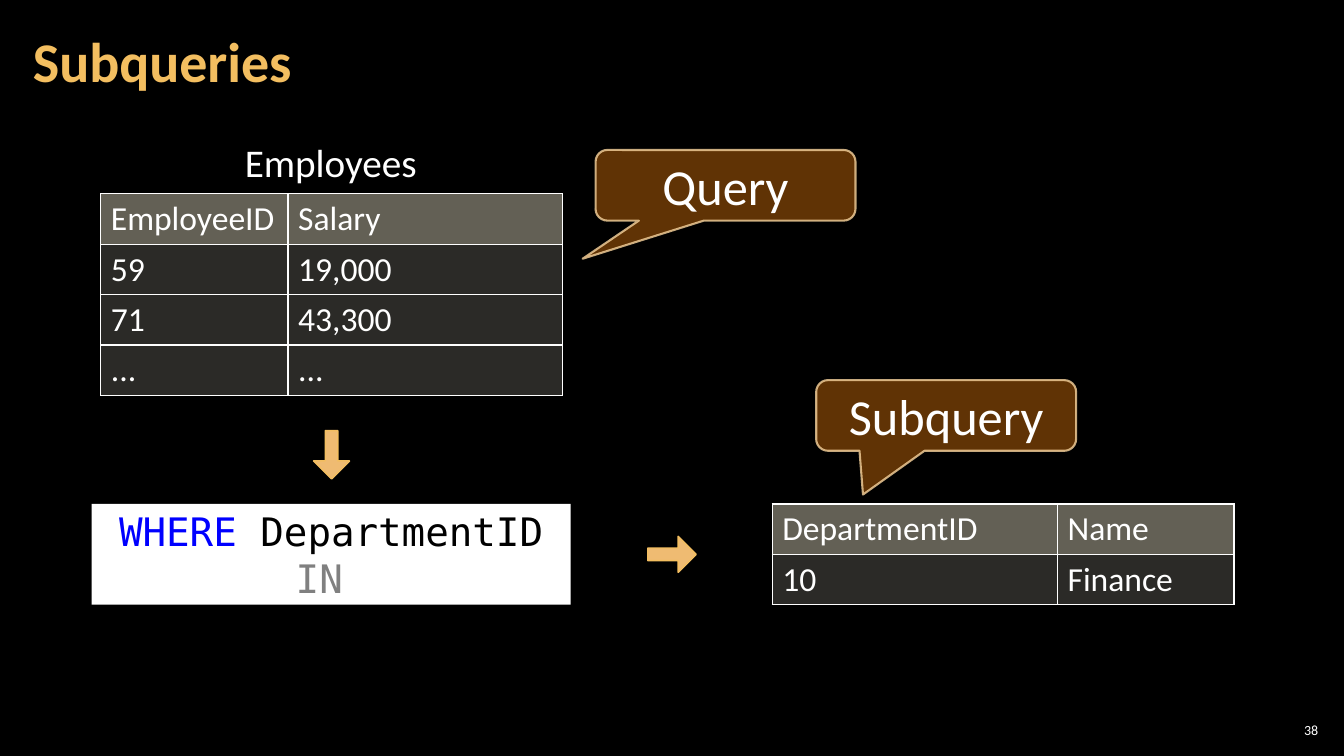
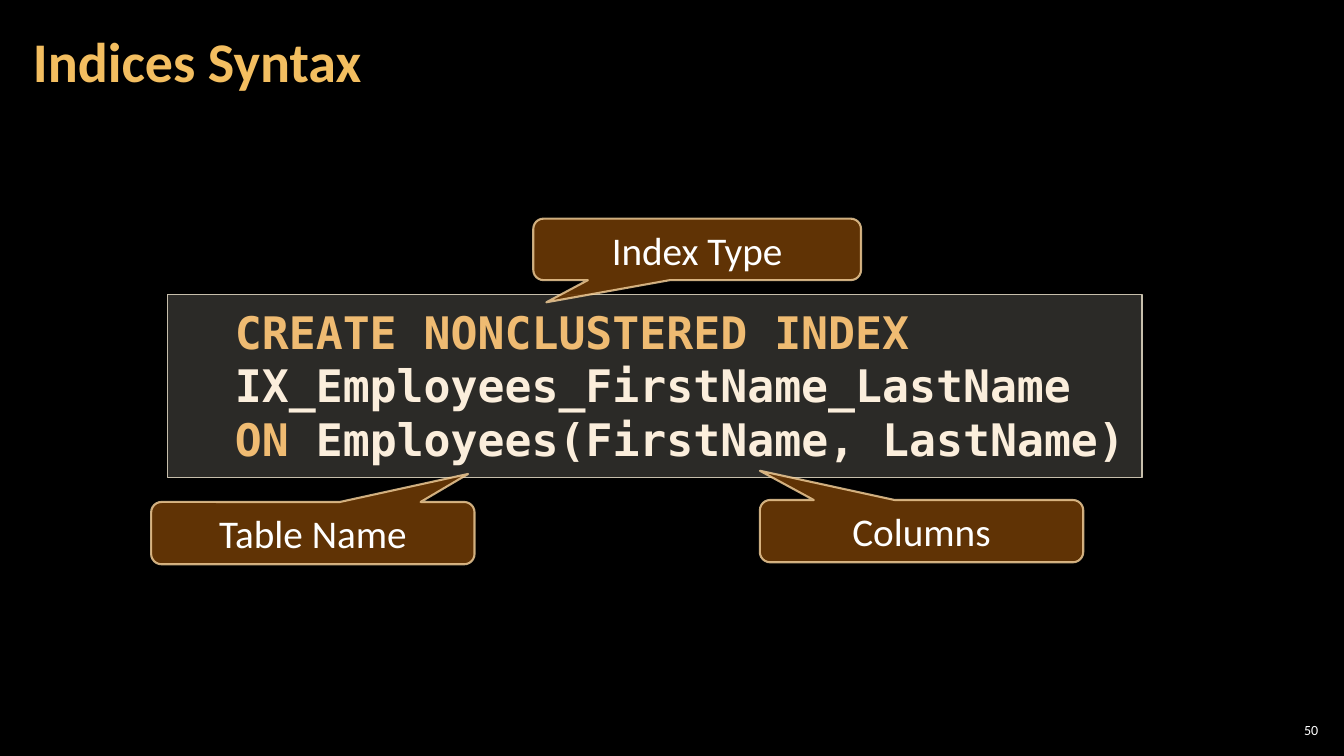
from lxml import etree
from pptx import Presentation
from pptx.dml.color import RGBColor
from pptx.enum.shapes import MSO_SHAPE
from pptx.enum.text import MSO_ANCHOR, PP_ALIGN
from pptx.oxml.ns import qn
from pptx.util import Cm, Pt

RECTANGLE = MSO_SHAPE.RECTANGLE
ARROW = MSO_SHAPE.UP_ARROW
CALLOUT = MSO_SHAPE.ROUNDED_RECTANGULAR_CALLOUT
MIDDLE, TOP = MSO_ANCHOR.MIDDLE, MSO_ANCHOR.TOP
LEFT, CENTER, RIGHT = PP_ALIGN.LEFT, PP_ALIGN.CENTER, PP_ALIGN.RIGHT

BODY_FONT, CODE_FONT = "Calibri", "DejaVu Sans Mono"
BLACK, WHITE = "000000", "FFFFFF"
GOLD, AMBER, CREAM = "F3BE60", "EFBB72", "FBEEDC"
BROWN, SAND = "663606", "F8D49E"
HEADER, PANEL, PANEL_EDGE = "C6C0AA", "D9D5C7", "C7BFAC"
KEYWORD, OPERATOR = "0000FF", "808080"


def paint(fill, colour, opacity=100):
    """Give a shape, line, cell, font or background a solid colour."""
    fill.solid()
    fill.fore_color.rgb = RGBColor.from_string(colour)
    if opacity < 100:
        tone = fill._xPr.find(qn("a:solidFill")).find(qn("a:srgbClr"))
        etree.SubElement(tone, qn("a:alpha")).set("val", str(opacity * 1000))


def write(paragraph, runs, size, font=BODY_FONT, bold=False, align=LEFT):
    """Fill a paragraph with (text, colour) runs."""
    paragraph.alignment = align
    for text, colour in runs:
        run = paragraph.add_run()
        run.text = text
        run.font.name = font
        run.font.size = Pt(size)
        run.font.bold = bold
        paint(run.font.fill, colour)


prs = Presentation()
prs.slide_width, prs.slide_height = Cm(33.87), Cm(19.05)

# Background, title and slide number
slides = []
for title, number in [("Subqueries", "38"), ("Indices Syntax", "50")]:
    slide = prs.slides.add_slide(prs.slide_layouts[6])
    slides.append(slide)
    paint(slide.background.fill, BLACK)
    for text, box, side, size, colour, bold, align in [
        (title, (0.53, 0.1, 26.59, 3.07), 0.3, 40, GOLD, True, LEFT),
        (number, (32.13, 18.14, 1.19, 0.53), 0.1, 10, WHITE, False, RIGHT),
    ]:
        frame = slide.shapes.add_textbox(*map(Cm, box)).text_frame
        frame.word_wrap = True
        frame.vertical_anchor = MIDDLE
        frame.margin_left = frame.margin_right = Cm(side)
        frame.margin_top = frame.margin_bottom = Cm(0.1)
        frame.paragraphs[0].line_spacing = 0.9 if bold else 1.0
        write(frame.paragraphs[0], [(text, colour)], size, bold=bold, align=align)
subqueries, indices = slides

# Tables of the query and the subquery
ROW_HEIGHT = 1.27
for left, top, widths, rows in [
    (2.54, 4.88, (4.72, 6.91),
     [("EmployeeID", "Salary"), ("59", "19,000"), ("71", "43,300"), ("...", "...")]),
    (19.46, 12.7, (7.19, 4.45),
     [("DepartmentID", "Name"), ("10", "Finance")]),
]:
    table = subqueries.shapes.add_table(
        len(rows), len(widths), Cm(left), Cm(top),
        Cm(sum(widths)), Cm(ROW_HEIGHT * len(rows))).table
    table.first_row = table.horz_banding = False
    for column, width in zip(table.columns, widths):
        column.width = Cm(width)
    for r, row in enumerate(rows):
        for c, text in enumerate(row):
            cell = table.cell(r, c)
            write(cell.text_frame.paragraphs[0], [(text, WHITE)], 24)
            paint(cell.fill, *((PANEL, 20) if r else (HEADER, 50)))
            # Borders come before the fill in the cell properties
            properties = cell._tc.get_or_add_tcPr()
            for i, side in enumerate(("a:lnL", "a:lnR", "a:lnT", "a:lnB")):
                border = etree.Element(qn(side), w=str(Pt(1)))
                solid = etree.SubElement(border, qn("a:solidFill"))
                etree.SubElement(solid, qn("a:srgbClr"), val=WHITE)
                properties.insert(i, border)

# Caption of the first table
caption = subqueries.shapes.add_textbox(Cm(5.92), Cm(3.35), Cm(4.88), Cm(1.45)).text_frame
caption.word_wrap = False
write(caption.paragraphs[0], [("Employees", WHITE)], 28)

# Condition that joins the two tables
condition = subqueries.shapes.add_shape(RECTANGLE, Cm(2.31), Cm(12.7), Cm(12.07), Cm(2.54))
condition.shadow.inherit = False
paint(condition.fill, WHITE)
condition.line.fill.background()
condition.text_frame.word_wrap = True
condition.text_frame.vertical_anchor = MIDDLE
write(condition.text_frame.paragraphs[0],
      [("WHERE", KEYWORD), (" DepartmentID ", BLACK), ("IN", OPERATOR), (" ", BLACK)],
      28, CODE_FONT, align=CENTER)

# Arrows down and to the right
for left, top, rotation in [(7.9, 10.85, 180), (16.48, 13.36, 90)]:
    arrow = subqueries.shapes.add_shape(ARROW, Cm(left), Cm(top), Cm(0.91), Cm(1.22))
    arrow.shadow.inherit = False
    arrow.rotation = rotation
    arrow.adjustments[0], arrow.adjustments[1] = 0.35, 0.5
    paint(arrow.fill, AMBER)
    paint(arrow.line.fill, GOLD)
    arrow.line.width = Pt(1)

# Index statement
statement = indices.shapes.add_shape(RECTANGLE, Cm(4.22), Cm(7.42), Cm(24.56), Cm(4.62))
statement.shadow.inherit = False
paint(statement.fill, PANEL, 20)
paint(statement.line.fill, PANEL_EDGE)
statement.line.width = Pt(1)
code = statement.text_frame
code.word_wrap = True
code.vertical_anchor = TOP
code.margin_left = code.margin_right = 0
code.margin_top = code.margin_bottom = Cm(0.25)
code.add_paragraph()
for paragraph, keyword, rest in zip(
        code.paragraphs,
        ("CREATE NONCLUSTERED INDEX", "ON"),
        (" IX_Employees_FirstName_LastName", " Employees(FirstName, LastName)")):
    paragraph._p.get_or_add_pPr().set("marL", str(Cm(1.7)))
    write(paragraph, [(keyword, AMBER), (rest, CREAM)], 32, CODE_FONT, bold=True)

# Callouts, each with the offset of its tail
for slide, text, size, box, tail in [
    (subqueries, "Query", 36, (15.01, 3.78, 6.55, 1.78), (-0.55, 1.04)),
    (subqueries, "Subquery", 36, (20.57, 9.58, 6.55, 1.78), (-0.32, 1.12)),
    (indices, "Table Name", 28, (3.81, 12.65, 8.15, 1.57), (0.48, -0.95)),
    (indices, "Columns", 28, (19.15, 12.6, 8.15, 1.57), (-0.5, -0.97)),
    (indices, "Index Type", 28, (13.44, 5.51, 8.26, 1.55), (-0.46, 0.86)),
]:
    callout = slide.shapes.add_shape(CALLOUT, *map(Cm, box))
    callout.shadow.inherit = False
    callout.adjustments[0], callout.adjustments[1] = tail
    paint(callout.fill, BROWN, 95)
    paint(callout.line.fill, SAND, 80)
    callout.line.width = Pt(1.5)
    callout.text_frame.word_wrap = True
    callout.text_frame.vertical_anchor = MIDDLE
    write(callout.text_frame.paragraphs[0], [(text, WHITE)], size, align=CENTER)

prs.save("out.pptx")
